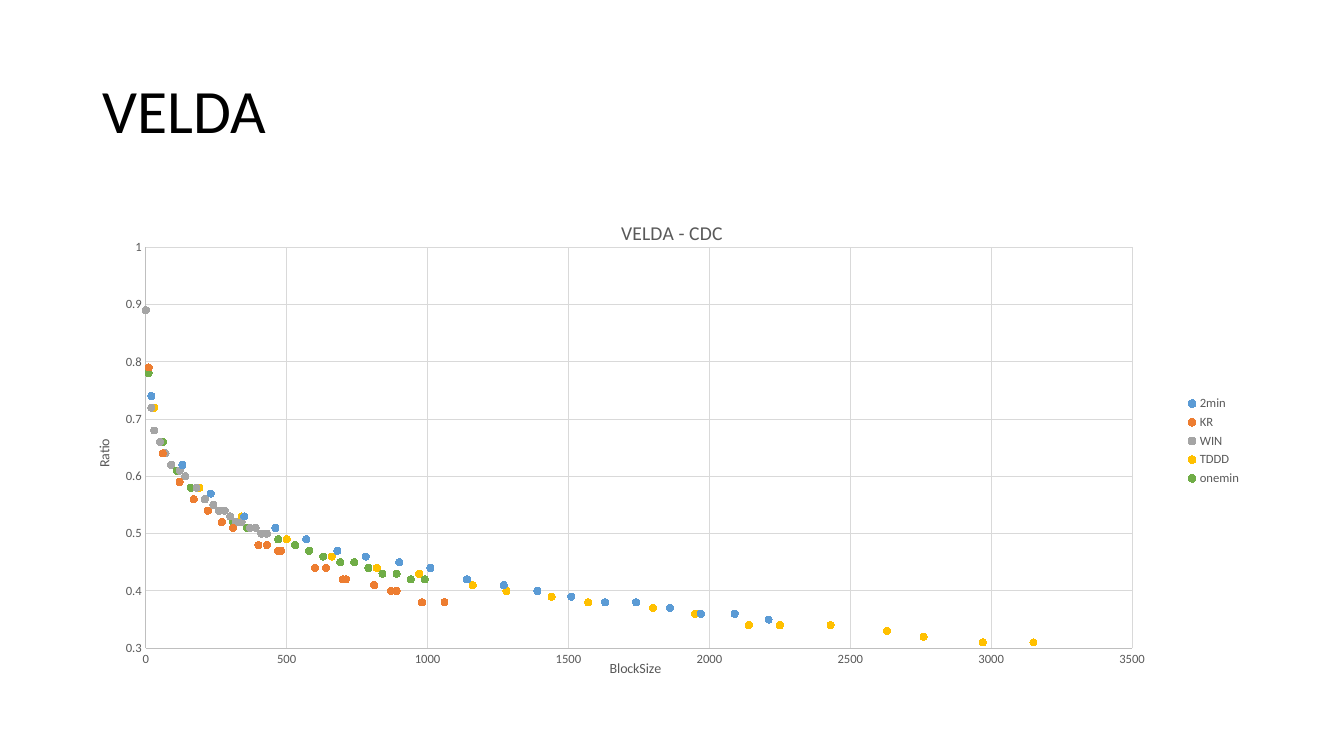
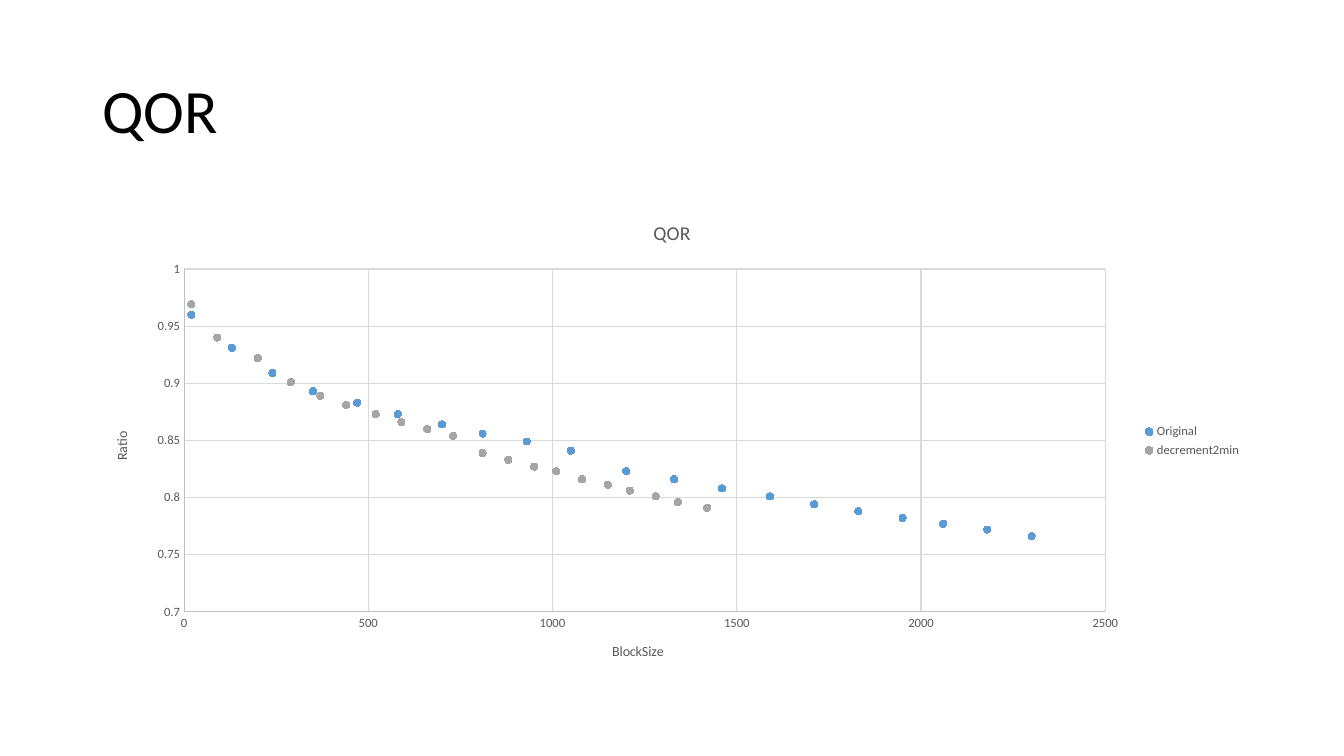
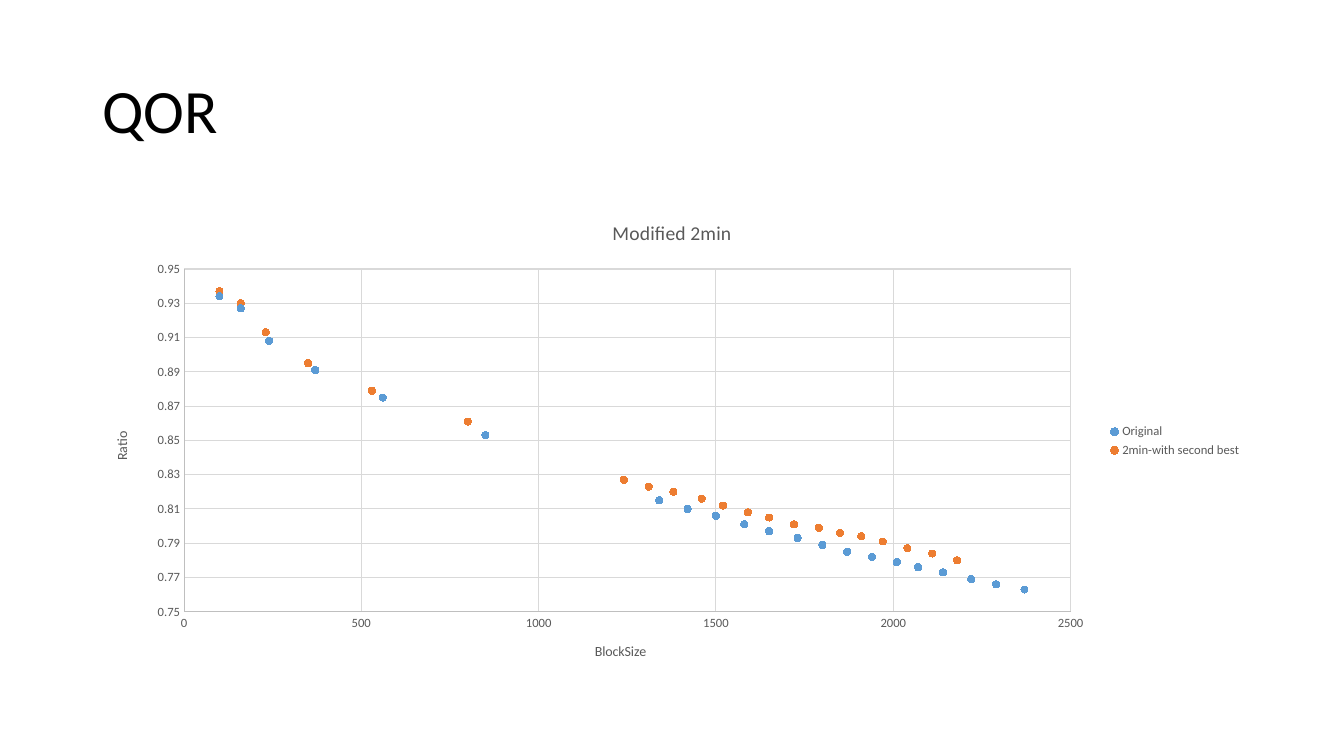
"""Build three slides of scatter charts that compare chunking methods."""
from lxml import etree
from pptx import Presentation
from pptx.chart.data import XyChartData
from pptx.dml.color import RGBColor
from pptx.enum.chart import XL_CHART_TYPE, XL_LEGEND_POSITION, XL_MARKER_STYLE, XL_TICK_MARK
from pptx.enum.text import MSO_ANCHOR
from pptx.oxml.ns import qn
from pptx.util import Cm, Pt

SCATTER = XL_CHART_TYPE.XY_SCATTER
RIGHT = XL_LEGEND_POSITION.RIGHT
CIRCLE = XL_MARKER_STYLE.CIRCLE
NO_TICK = XL_TICK_MARK.NONE
MIDDLE = MSO_ANCHOR.MIDDLE

FONT = "Calibri"
BLACK, GRAY, AXIS, GRID = "000000", "595959", "BFBFBF", "D9D9D9"
BLUE, ORANGE, SILVER, GOLD, GREEN = "5B9BD5", "ED7D31", "A5A5A5", "FFC000", "70AD47"

METHODS = [
    ("2min", BLUE,
     [20, 130, 230, 350, 460, 570, 680, 780, 900, 1010,
      1140, 1270, 1390, 1510, 1630, 1740, 1860, 1970, 2090, 2210],
     [0.74, 0.62, 0.57, 0.53, 0.51, 0.49, 0.47, 0.46, 0.45, 0.44,
      0.42, 0.41, 0.4, 0.39, 0.38, 0.38, 0.37, 0.36, 0.36, 0.35]),
    ("KR", ORANGE,
     [10, 60, 120, 170, 220, 270, 310, 400, 430, 470,
      480, 600, 640, 710, 700, 810, 870, 890, 980, 1060],
     [0.79, 0.64, 0.59, 0.56, 0.54, 0.52, 0.51, 0.48, 0.48, 0.47,
      0.47, 0.44, 0.44, 0.42, 0.42, 0.41, 0.4, 0.4, 0.38, 0.38]),
    ("WIN", SILVER,
     [0, 20, 30, 50, 70, 90, 120, 140, 180, 210,
      240, 260, 280, 300, 320, 340, 370, 390, 410, 430],
     [0.89, 0.72, 0.68, 0.66, 0.64, 0.62, 0.61, 0.6, 0.58, 0.56,
      0.55, 0.54, 0.54, 0.53, 0.52, 0.52, 0.51, 0.51, 0.5, 0.5]),
    ("TDDD", GOLD,
     [30, 190, 340, 500, 660, 820, 970, 1160, 1280, 1440,
      1570, 1800, 1950, 2140, 2250, 2430, 2630, 2760, 2970, 3150],
     [0.72, 0.58, 0.53, 0.49, 0.46, 0.44, 0.43, 0.41, 0.4, 0.39,
      0.38, 0.37, 0.36, 0.34, 0.34, 0.34, 0.33, 0.32, 0.31, 0.31]),
    ("onemin", GREEN,
     [10, 60, 110, 160, 210, 260, 310, 360, 410, 470,
      530, 580, 630, 690, 740, 790, 840, 890, 940, 990],
     [0.78, 0.66, 0.61, 0.58, 0.56, 0.54, 0.52, 0.51, 0.5, 0.49,
      0.48, 0.47, 0.46, 0.45, 0.45, 0.44, 0.43, 0.43, 0.42, 0.42]),
]
LOWER = [
    ("Original", BLUE,
     [20, 130, 240, 350, 470, 580, 700, 810, 930, 1050,
      1200, 1330, 1460, 1590, 1710, 1830, 1950, 2060, 2180, 2300],
     [0.96, 0.931, 0.909, 0.893, 0.883, 0.873, 0.864, 0.856, 0.849, 0.841,
      0.823, 0.816, 0.808, 0.801, 0.794, 0.788, 0.782, 0.777, 0.772, 0.766]),
    ("decrement2min", SILVER,
     [20, 90, 200, 290, 370, 440, 520, 590, 660, 730,
      810, 880, 950, 1010, 1080, 1150, 1210, 1280, 1340, 1420],
     [0.969, 0.94, 0.922, 0.901, 0.889, 0.881, 0.873, 0.866, 0.86, 0.854,
      0.839, 0.833, 0.827, 0.823, 0.816, 0.811, 0.806, 0.801, 0.796, 0.791]),
]
SECOND = [
    ("Original", BLUE,
     [100, 160, 240, 370, 560, 850, 1340, 1420, 1500, 1580, 1650,
      1730, 1800, 1870, 1940, 2010, 2070, 2140, 2220, 2290, 2370],
     [0.934, 0.927, 0.908, 0.891, 0.875, 0.853, 0.815, 0.81, 0.806, 0.801, 0.797,
      0.793, 0.789, 0.785, 0.782, 0.779, 0.776, 0.773, 0.769, 0.766, 0.763]),
    ("2min-with second best", ORANGE,
     [100, 160, 230, 350, 530, 800, 1240, 1310, 1380, 1460, 1520,
      1590, 1650, 1720, 1790, 1850, 1910, 1970, 2040, 2110, 2180],
     [0.937, 0.93, 0.913, 0.895, 0.879, 0.861, 0.827, 0.823, 0.82, 0.816, 0.812,
      0.808, 0.805, 0.801, 0.799, 0.796, 0.794, 0.791, 0.787, 0.784, 0.78]),
]


def color(code):
    return RGBColor.from_string(code)


def style(font, size, code):
    font.name, font.size, font.bold = FONT, Pt(size), False
    font.color.rgb = color(code)


def write(frame, text, size=10, code=GRAY, space=None):
    para = frame.paragraphs[0]
    para.line_spacing = space
    run = para.add_run()
    run.text = text
    style(run.font, size, code)


def stroke(line, code):
    line.color.rgb = color(code)
    line.width = Pt(0.75)


def place(chart, box):
    area = chart.element.find(".//" + qn("c:plotArea"))
    layout = area.find(qn("c:layout"))
    if layout is None:
        layout = etree.Element(qn("c:layout"))
        area.insert(0, layout)
    manual = etree.SubElement(layout, qn("c:manualLayout"))
    parts = [("layoutTarget", "inner"), ("xMode", "edge"), ("yMode", "edge")]
    for tag, val in parts + list(zip("xywh", box)):
        etree.SubElement(manual, qn("c:" + tag)).set("val", str(val))


class Deck:
    def __init__(self):
        self.show = Presentation()
        self.show.slide_width, self.show.slide_height = Cm(33.87), Cm(19.05)
        self.slide = None

    def page(self, title):
        self.slide = self.show.slides.add_slide(self.show.slide_layouts[6])
        box = self.slide.shapes.add_textbox(Cm(2.33), Cm(1.01), Cm(29.21), Cm(3.68))
        frame = box.text_frame
        frame.word_wrap = True
        frame.vertical_anchor = MIDDLE
        write(frame, title, size=44, code=BLACK, space=0.9)

    def axis(self, axis, title, low, high, step):
        axis.minimum_scale, axis.maximum_scale, axis.major_unit = low, high, step
        axis.major_tick_mark = axis.minor_tick_mark = NO_TICK
        axis.has_major_gridlines = True
        stroke(axis.major_gridlines.format.line, GRID)
        stroke(axis.format.line, AXIS)
        style(axis.tick_labels.font, 9, GRAY)
        axis.tick_labels.number_format = "General"
        axis.tick_labels.number_format_is_linked = False
        write(axis.axis_title.text_frame, title)

    def chart(self, title, rows, across, up, box=None):
        data = XyChartData()
        for name, _, xs, ys in rows:
            series = data.add_series(name)
            for x, y in zip(xs, ys):
                series.add_data_point(x, y)
        chart = self.slide.shapes.add_chart(
            SCATTER, Cm(2.33), Cm(5.07), Cm(29.21), Cm(12.09), data).chart
        style(chart.font, 10, BLACK)
        chart.has_title = True
        write(chart.chart_title.text_frame, title, size=14)
        chart.chart_title.include_in_layout = False
        chart.has_legend = True
        chart.legend.position = RIGHT
        chart.legend.include_in_layout = False
        style(chart.legend.font, 9, GRAY)
        self.axis(chart.category_axis, "BlockSize", *across)
        self.axis(chart.value_axis, "Ratio", *up)
        body = chart.value_axis.axis_title.element.find(".//" + qn("a:bodyPr"))
        body.set("rot", "-5400000")
        body.set("vert", "horz")
        plot = chart.plots[0]
        plot.vary_by_categories = False
        for series, row in zip(plot.series, rows):
            series.smooth = False
            series.format.line.fill.background()
            mark = series.marker
            mark.style, mark.size = CIRCLE, 5
            mark.format.fill.solid()
            mark.format.fill.fore_color.rgb = color(row[1])
            stroke(mark.format.line, row[1])
        if box:
            place(chart, box)


def main():
    deck = Deck()
    deck.page("VELDA")
    deck.chart("VELDA - CDC", METHODS, (0, 3500, 500), (0.3, 1, 0.1),
               box=(0.046, 0.096, 0.851, 0.836))
    deck.page("QOR")
    deck.chart("QOR", LOWER, (0, 2500, 500), (0.7, 1, 0.05))
    deck.page("QOR")
    deck.chart("Modified 2min", SECOND, (0, 2500, 500), (0.75, 0.95, 0.02))
    deck.show.save("out.pptx")


if __name__ == "__main__":
    main()
